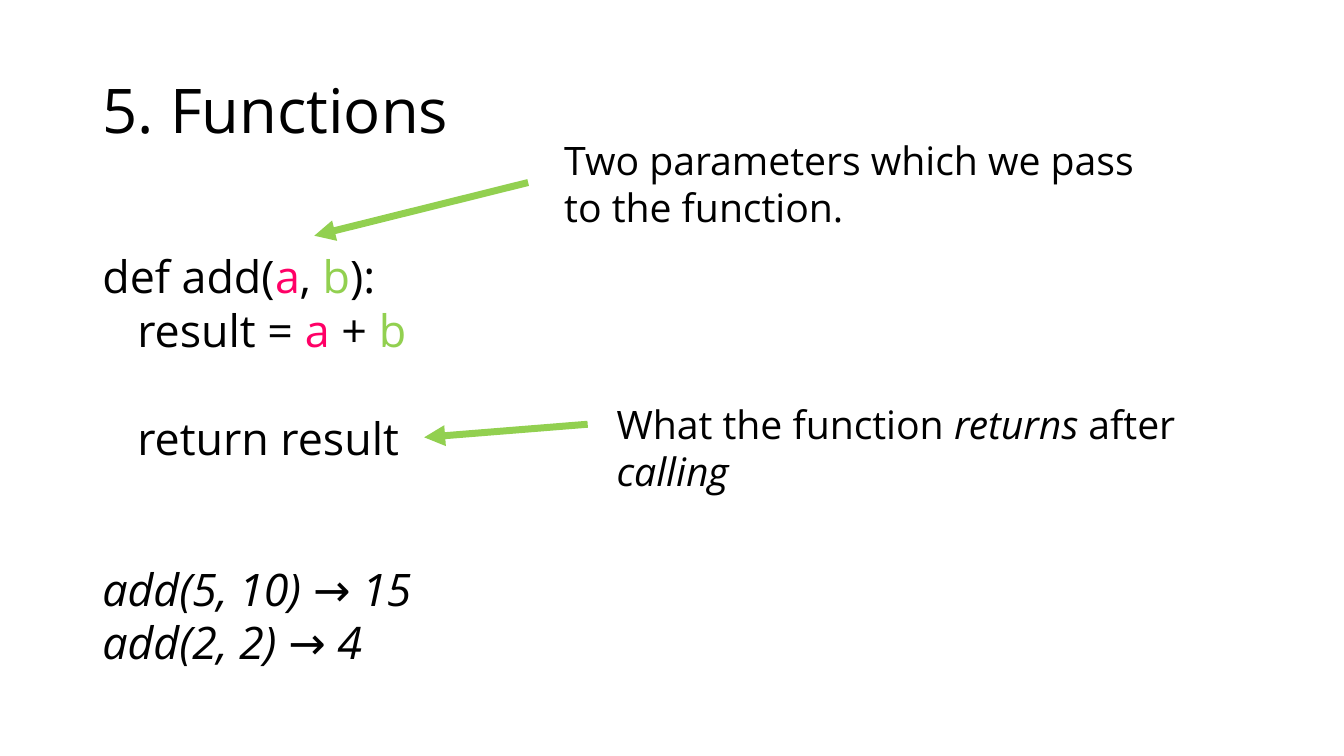
from dataclasses import dataclass

from lxml.etree import SubElement
from pptx import Presentation
from pptx.dml.color import RGBColor
from pptx.enum.shapes import MSO_CONNECTOR
from pptx.enum.text import MSO_ANCHOR, MSO_AUTO_SIZE, PP_ALIGN
from pptx.oxml.ns import qn
from pptx.util import Cm, Pt


@dataclass(frozen=True)
class Theme:
    font: str = "Open Sans"
    text: RGBColor = RGBColor(0x00, 0x00, 0x00)
    first_parameter: RGBColor = RGBColor(0xFF, 0x00, 0x66)
    second_parameter: RGBColor = RGBColor(0x92, 0xD0, 0x50)
    arrow: RGBColor = RGBColor(0x92, 0xD0, 0x50)
    title_size: int = 44
    code_size: int = 32
    note_size: int = 28
    arrow_width: int = 5


THEME = Theme()
LEFT = 2.33
CODE_INDENT = 0.88
BLANK_LINE = 38.6

# Runs that repeat in the code
A = ("a", {"color": THEME.first_parameter})
B = ("b", {"color": THEME.second_parameter})


def write_run(paragraph, text, size, color=THEME.text, italic=False):
    run = paragraph.add_run()
    run.text = text
    run.font.name = THEME.font
    run.font.size = Pt(size)
    run.font.color.rgb = color
    run.font.italic = italic


def write_paragraph(paragraph, runs, size, italic=False, indent=0,
                    space_before=0, line_spacing=None):
    """Fill a paragraph; each run is a string or a (string, format) pair."""
    paragraph.alignment = PP_ALIGN.LEFT
    paragraph.space_before = Pt(space_before)
    if line_spacing:
        paragraph.line_spacing = line_spacing
    if indent:
        paragraph._p.get_or_add_pPr().set("marL", str(Cm(indent)))
    for item in runs:
        text, run_format = (item, {}) if isinstance(item, str) else item
        write_run(paragraph, text, size, **{"italic": italic, **run_format})


def add_title(slide, text):
    title = slide.shapes.title
    title.left, title.top = Cm(LEFT), Cm(1.02)
    title.width, title.height = Cm(29.21), Cm(3.68)
    frame = title.text_frame
    frame.vertical_anchor = MSO_ANCHOR.MIDDLE
    frame.auto_size = MSO_AUTO_SIZE.NONE
    write_paragraph(frame.paragraphs[0], [text], THEME.title_size,
                    line_spacing=0.9)


def add_text(slide, left, top, width, height, paragraphs, **text_format):
    """Add a text box; each paragraph is a (runs, format) pair."""
    box = slide.shapes.add_textbox(Cm(left), Cm(top), Cm(width), Cm(height))
    frame = box.text_frame
    frame.word_wrap = True
    frame.auto_size = MSO_AUTO_SIZE.SHAPE_TO_FIT_TEXT
    for index, (runs, paragraph_format) in enumerate(paragraphs):
        paragraph = frame.add_paragraph() if index else frame.paragraphs[0]
        write_paragraph(paragraph, runs, **text_format, **paragraph_format)


def add_note(slide, left, top, runs):
    add_text(slide, left, top, 15.32, 2.64, [(runs, {})],
             size=THEME.note_size)


def add_arrow(slide, start, end):
    arrow = slide.shapes.add_connector(
        MSO_CONNECTOR.STRAIGHT, *map(Cm, start), *map(Cm, end))
    arrow.line.color.rgb = THEME.arrow
    arrow.line.width = Pt(THEME.arrow_width)
    SubElement(arrow.line._get_or_add_ln(), qn("a:tailEnd"), type="triangle")
    SubElement(arrow._element.spPr, qn("a:effectLst"))


def main():
    presentation = Presentation()
    presentation.slide_width, presentation.slide_height = Cm(33.87), Cm(19.05)
    title_only = presentation.slide_layouts[5]
    slide = presentation.slides.add_slide(title_only)
    add_title(slide, "5. Functions")

    # Function definition
    add_text(slide, LEFT, 6.15, 9.22, 5.74, [
        (["def add(", A, ", ", B, "):"], {}),
        (["result = ", A, " + ", B], {"indent": CODE_INDENT}),
        (["return result"],
         {"indent": CODE_INDENT, "space_before": BLANK_LINE}),
    ], size=THEME.code_size)

    # Notes with their arrows
    add_arrow(slide, (13.31, 4.6), (7.92, 5.94))
    add_note(slide, 13.97, 3.3,
             ["Two parameters which we pass to the function."])
    add_arrow(slide, (14.81, 10.69), (10.69, 11.02))
    add_note(slide, 15.29, 9.96, [
        "What the function ", ("returns ", {"italic": True}),
        "after ", ("calling", {"italic": True})])

    # Example calls
    add_text(slide, LEFT, 14.02, 18.77, 3, [
        (["add(5, 10) → 15"], {}),
        (["add(2, 2) → 4"], {}),
    ], size=THEME.code_size, italic=True)

    presentation.save("out.pptx")


main()
